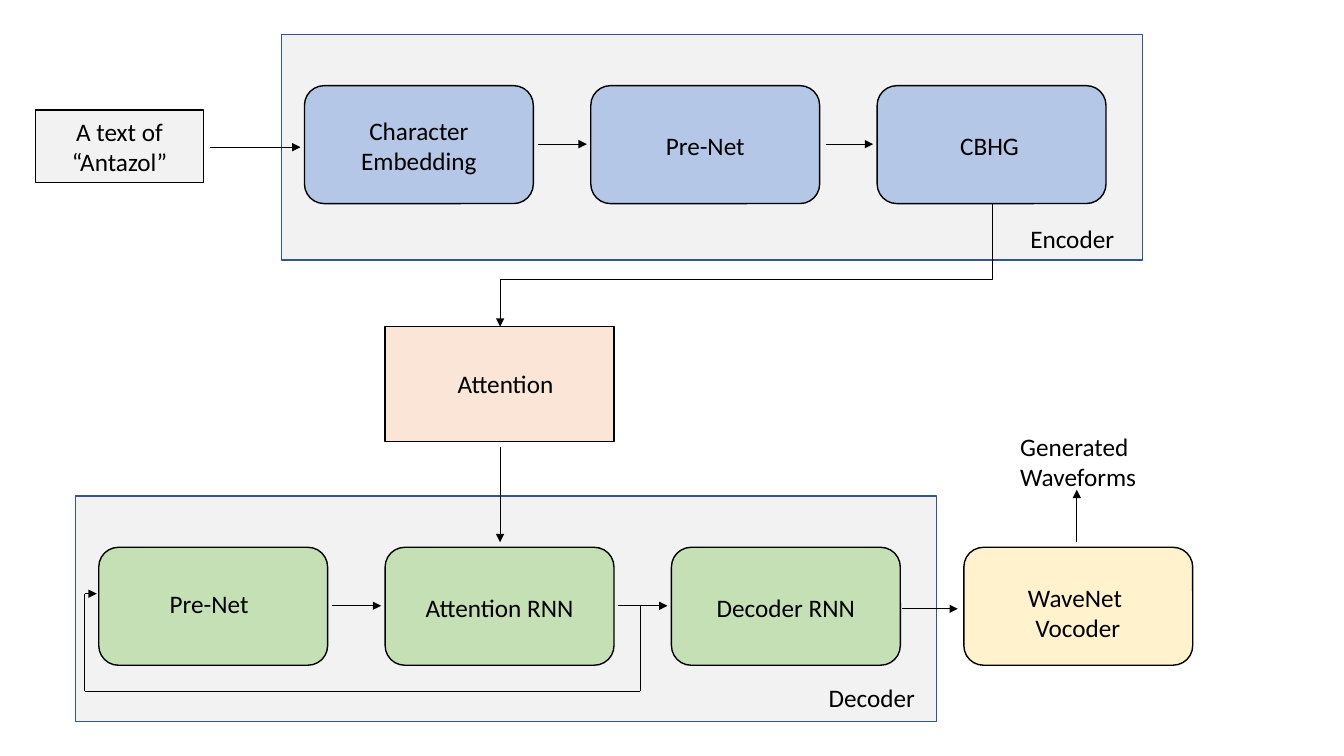
from itertools import pairwise

from lxml.etree import SubElement
from pptx import Presentation
from pptx.dml.color import RGBColor
from pptx.enum.shapes import MSO_CONNECTOR, MSO_SHAPE
from pptx.enum.text import MSO_ANCHOR, PP_ALIGN
from pptx.oxml.ns import qn
from pptx.util import Inches, Pt

BLACK = "000000"
PANEL = "F2F2F2"
PANEL_EDGE = "325491"
BLUE = "B4C7E7"
GREEN = "C5E0B4"
PEACH = "FBE5D6"
CREAM = "FFF2CC"
BOX_WIDTH, BOX_HEIGHT = 2.27, 1.17
ENCODER_TOP, DECODER_TOP = 0.85, 5.43
ATTENTION_LEFT, COLUMN_STEP = 3.82, 2.84


def color(value):
    return RGBColor.from_string(value)


def write(box, lines, align):
    frame = box.text_frame
    frame.word_wrap = True
    for index, line in enumerate(lines):
        para = frame.paragraphs[0] if index == 0 else frame.add_paragraph()
        para.alignment = align
        span = para.add_run()
        span.text = line
        span.font.name = "Calibri"
        span.font.size = Pt(18)
        span.font.color.rgb = color(BLACK)


deck = Presentation()
deck.slide_width = Inches(13.33)
deck.slide_height = Inches(7.5)
page = deck.slides.add_slide(deck.slide_layouts[6])

RECT, ROUND = MSO_SHAPE.RECTANGLE, MSO_SHAPE.ROUNDED_RECTANGLE
shapes = [
    ("encoder", RECT, 2.79, 0.34, 8.54, 2.24, PANEL, PANEL_EDGE),
    ("decoder", RECT, 0.75, 4.92, 8.54, 2.24, PANEL, PANEL_EDGE),
    ("source text", RECT, 0.35, 1.09, 1.67, 0.72, PANEL, BLACK),
    ("attention", RECT, ATTENTION_LEFT, 3.24, BOX_WIDTH, 1.14, PEACH, BLACK),
    ("vocoder", ROUND, 9.56, DECODER_TOP, BOX_WIDTH, BOX_HEIGHT, CREAM, BLACK),
]
rows = [
    (["character embedding", "encoder pre-net", "cbhg"], 3.02, ENCODER_TOP, BLUE),
    (["decoder pre-net", "attention rnn", "decoder rnn"], 0.98, DECODER_TOP, GREEN),
]
for names, left, top, fill in rows:
    for column, name in enumerate(names):
        shapes.append((name, ROUND, left + column * COLUMN_STEP, top,
                       BOX_WIDTH, BOX_HEIGHT, fill, BLACK))

boxes = {}
for name, kind, left, top, width, height, fill, edge in shapes:
    box = page.shapes.add_shape(kind, Inches(left), Inches(top), Inches(width), Inches(height))
    box.shadow.inherit = False
    box.fill.solid()
    box.fill.fore_color.rgb = color(fill)
    box.line.color.rgb = color(edge)
    box.line.width = Pt(1)
    boxes[name] = box

boxes["source text"].text_frame.vertical_anchor = MSO_ANCHOR.MIDDLE
write(boxes["source text"], ["A text of “Antazol”"], PP_ALIGN.CENTER)

CENTER, LEFT = PP_ALIGN.CENTER, PP_ALIGN.LEFT
labels = [
    (["Character Embedding"], 3.29, 1.09, 1.73, 0.71, CENTER),
    (["Pre-Net"], 6.13, 1.24, 1.73, 0.4, CENTER),
    (["CBHG"], 8.95, 1.24, 1.73, 0.4, CENTER),
    (["Attention"], 4.44, 3.61, 2, 0.4, LEFT),
    (["Pre-Net"], 1.21, 5.79, 1.73, 0.4, CENTER),
    (["Attention RNN"], 4.09, 5.83, 1.73, 0.4, CENTER),
    (["Decoder RNN"], 6.93, 5.83, 1.73, 0.4, CENTER),
    (["WaveNet ", "Vocoder"], 9.55, 5.73, 2.28, 0.71, CENTER),
    (["Generated Waveforms"], 10.02, 4.23, 2.28, 0.71, LEFT),
    (["Encoder"], 10.12, 2.17, 1.12, 0.4, LEFT),
    (["Decoder"], 8.12, 6.72, 1.12, 0.4, LEFT),
]
for lines, left, top, width, height, align in labels:
    label = page.shapes.add_textbox(Inches(left), Inches(top), Inches(width), Inches(height))
    write(label, lines, align)

routes = [
    [(2.08, 1.46), (2.98, 1.46)],
    [(5.34, 1.43), (5.82, 1.43)],
    [(8.19, 1.43), (8.66, 1.43)],
    [(4.96, 4.43), (4.96, 5.38)],
    [(3.29, 6.01), (3.78, 6.01)],
    [(6.13, 6.01), (6.62, 6.01)],
    [(6.35, 6.01), (6.35, 6.86), (0.84, 6.86), (0.84, 5.89), (0.96, 5.89)],
    [(8.95, 6.04), (9.5, 6.04)],
    [(10.68, 5.38), (10.68, 4.86)],
]
connectors = []
for route in routes:
    for start, end in pairwise(route):
        line = page.shapes.add_connector(
            MSO_CONNECTOR.STRAIGHT, *map(Inches, start), *map(Inches, end))
        connectors.append((line, end == route[-1]))

elbow = page.shapes.add_connector(
    MSO_CONNECTOR.ELBOW, Inches(9.84), Inches(2.02), Inches(4.96), Inches(3.24))
elbow.begin_connect(boxes["cbhg"], 2)
elbow.end_connect(boxes["attention"], 0)
elbow.left, elbow.top = Inches(6.79), Inches(0.19)
elbow.width, elbow.height = Inches(1.22), Inches(4.88)
transform = elbow._element.spPr.find(qn("a:xfrm"))
transform.attrib.pop("flipH", None)
transform.set("rot", "5400000")
adjustments = elbow._element.spPr.find(qn("a:prstGeom")).find(qn("a:avLst"))
SubElement(adjustments, qn("a:gd"), name="adj1", fmla="val 61800")
connectors.append((elbow, True))

for connector, has_head in connectors:
    connector.line.color.rgb = color(BLACK)
    connector.line.width = Pt(0.5)
    if has_head:
        SubElement(connector.line._get_or_add_ln(), qn("a:tailEnd"), type="triangle")
    SubElement(connector._element.spPr, qn("a:effectLst"))

deck.save("out.pptx")
